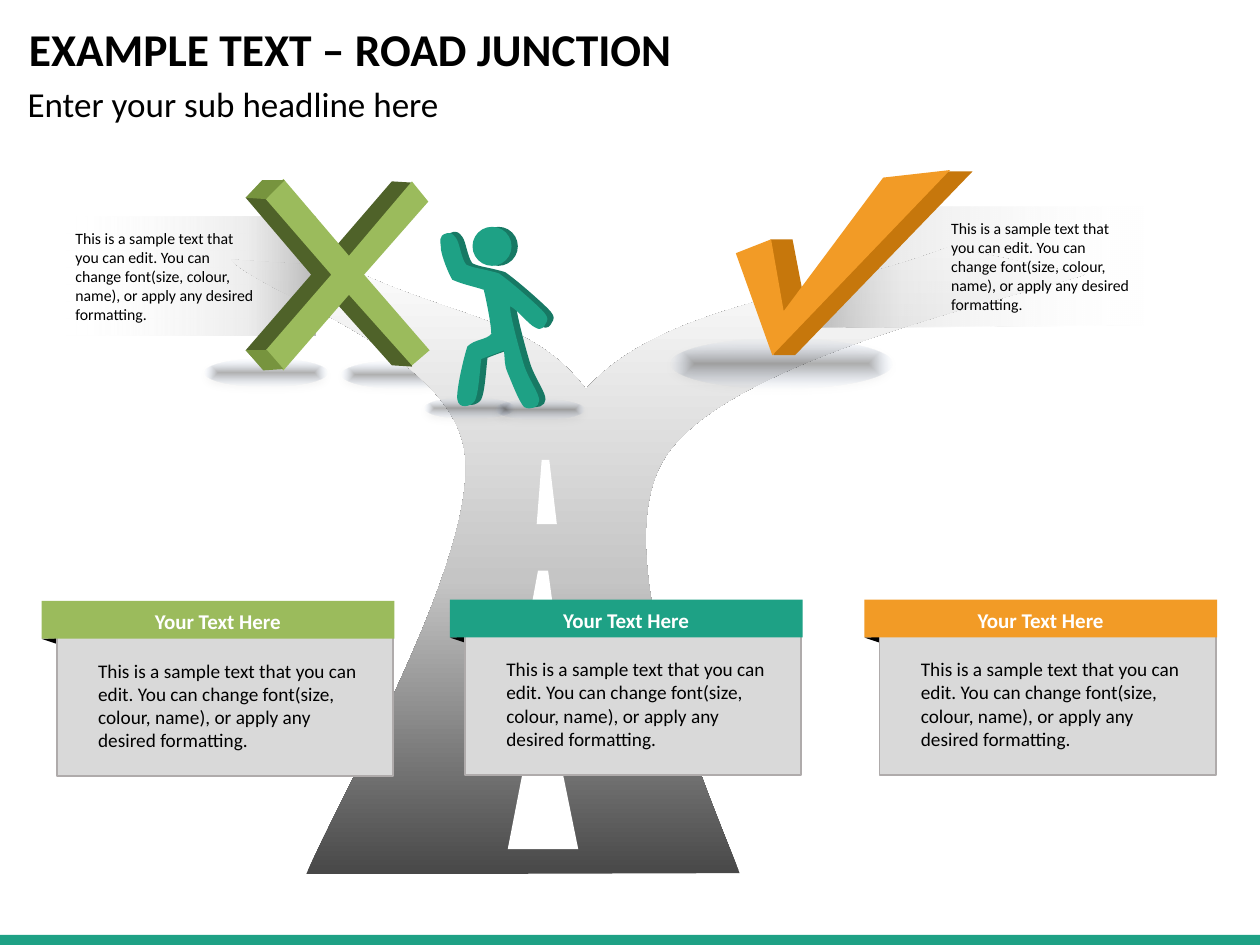
"""Build the road junction slide with three captioned cards."""
from dataclasses import dataclass

import lxml.etree
import pptx
import pptx.dml.color
import pptx.enum.shapes
import pptx.enum.text
import pptx.oxml.ns
import pptx.util

COLORS = {
    "black": "000000", "white": "FFFFFF", "teal": "1EA185", "dark_teal": "177964",
    "green": "9BBB5C", "mid_green": "77943E", "dark_green": "4F6229",
    "orange": "F29B26", "dark_orange": "C6770C", "panel": "D9D9D9", "edge": "AFABAB",
    "asphalt": "484848", "road": "C5C5C5", "fade": "B8B8B8", "pale": "D3D3D3",
    "shade": "0D0D0D", "haze": "9BC1FF",
}
SAMPLE = ("This is a sample text that you can edit. You can change font(size, "
          "colour, name), or apply any desired formatting.")
CM_PER_UNIT = 2.54
ALIGN = pptx.enum.text.PP_ALIGN
SIZING = pptx.enum.text.MSO_AUTO_SIZE
SHAPE = pptx.enum.shapes.MSO_SHAPE
Segment = tuple[float, ...]


@dataclass(frozen=True)
class Box:
    left: float
    top: float
    width: float
    height: float

    def lengths(self) -> list[int]:
        return [length(v) for v in (self.left, self.top, self.width, self.height)]


@dataclass(frozen=True)
class Stop:
    position: int
    color: str
    alpha: int = 100


@dataclass(frozen=True)
class Outline:
    color: str
    segments: list[Segment]


@dataclass(frozen=True)
class Card:
    left: float
    top: float
    color: str


ROAD = [(2.75, 2.12), (3.63, 2.54, 4.22, 2.52, 4.65, 3.09), (5.28, 2.39, 6.57, 2.34, 7.53, 1.96),
        (8.61, 2.18), (8.02, 2.37, 5.71, 2.87, 5.26, 3.66), (4.8, 4.45, 5.65, 6.36, 5.87, 6.93),
        (2.43, 6.94), (2.74, 6.24, 3.79, 4.42, 3.69, 3.6), (3.59, 2.79, 2.11, 2.35, 1.83, 2.06)]
LANE_MARKS = [
    [(4.24, 5.66), (4.37, 5.66), (4.59, 6.74), (4.03, 6.74)],
    [(4.27, 4.53), (4.35, 4.53), (4.44, 5.19), (4.15, 5.18)],
    [(4.3, 3.65), (4.36, 3.65), (4.42, 4.16), (4.26, 4.16)],
]
WALKER = [
    (3.96, 2.17), (3.83, 2.13, 3.76, 2.13, 3.7, 2.1), (3.66, 2.05, 3.65, 1.93, 3.62, 1.89),
    (3.59, 1.85, 3.58, 1.85, 3.55, 1.85), (3.47, 1.87, 3.5, 1.92, 3.5, 1.98),
    (3.51, 2.04, 3.55, 2.15, 3.59, 2.22), (3.68, 2.26, 3.75, 2.27, 3.84, 2.3),
    (3.86, 2.38, 3.9, 2.58, 3.9, 2.65), (3.86, 2.7, 3.77, 2.69, 3.71, 2.75),
    (3.68, 2.84, 3.62, 3.1, 3.63, 3.17), (3.64, 3.25, 3.74, 3.23, 3.77, 3.18),
    (3.8, 3.12, 3.81, 2.92, 3.82, 2.85), (3.89, 2.82, 3.96, 2.8, 4, 2.78),
    (4.01, 2.86, 4, 2.89, 4.03, 2.96), (4.06, 3.03, 4.12, 3.19, 4.16, 3.23),
    (4.21, 3.26, 4.28, 3.23, 4.28, 3.18), (4.28, 3.12, 4.2, 3.02, 4.16, 2.9),
    (4.12, 2.77, 4.04, 2.47, 4.05, 2.43), (4.11, 2.46, 4.2, 2.58, 4.25, 2.6),
    (4.3, 2.63, 4.32, 2.59, 4.33, 2.57), (4.34, 2.55, 4.37, 2.53, 4.3, 2.46),
    (4.24, 2.4, 4.06, 2.24, 3.96, 2.17),
]
TICK = [
    Outline("dark_orange", [(6.01, 1.98), (6.12, 1.9), (6.29, 1.9), (6.4, 2.47), (7.19, 1.41),
                            (7.53, 1.36), (7.72, 1.36), (6.31, 2.82), (6.14, 2.82)]),
    Outline("orange", [(5.84, 2.01), (6.12, 1.9), (6.22, 2.47), (7.01, 1.41), (7.54, 1.35),
                       (6.13, 2.82)]),
]
CROSS = [
    Outline("dark_green", [(1.95, 1.57), (2.09, 1.43), (2.61, 2.02), (3.11, 1.44), (3.27, 1.45),
                           (3.24, 1.59), (2.73, 2.18), (3.25, 2.77), (3.27, 2.91), (3.11, 2.9),
                           (2.61, 2.34), (2.09, 2.93), (1.95, 2.78), (2.47, 2.18)]),
    Outline("green", [(2.11, 1.58), (2.25, 1.42), (2.77, 2.03), (3.27, 1.44), (3.4, 1.6),
                      (2.89, 2.18), (3.41, 2.78), (3.27, 2.9), (2.77, 2.34), (2.25, 2.94),
                      (2.11, 2.78), (2.63, 2.18)]),
    Outline("mid_green", [(2.08, 1.43), (2.26, 1.43), (2.11, 1.58), (1.95, 1.57)]),
    Outline("mid_green", [(2.12, 2.78), (1.95, 2.78), (2.09, 2.94), (2.25, 2.93)]),
]
SIGN_BACKDROP = [(7.1, 1.64), (9.08, 1.64), (9.08, 2.58), (6.44, 2.6)]
FADE = [Stop(0, "fade"), Stop(27, "pale", 41), Stop(100, "white", 0)]
CARDS = [Card(0.33, 4.77, "green"), Card(3.57, 4.76, "teal"), Card(6.86, 4.76, "orange")]


def length(units: float) -> int:
    return pptx.util.Cm(units * CM_PER_UNIT)


def rgb(color: str) -> pptx.dml.color.RGBColor:
    return pptx.dml.color.RGBColor.from_string(COLORS[color])


def child(parent, tag: str, **attributes):
    element = lxml.etree.SubElement(parent, pptx.oxml.ns.qn(tag))
    for key, value in attributes.items():
        element.set(key, str(value))
    return element


def add_color(parent, color: str, alpha: int) -> None:
    tint = child(parent, "a:srgbClr", val=COLORS[color])
    if alpha < 100:
        child(tint, "a:alpha", val=alpha * 1000)


def paint(shape, color: str):
    shape.shadow.inherit = False
    shape.line.fill.background()
    shape.fill.solid()
    shape.fill.fore_color.rgb = rgb(color)
    return shape


def paint_gradient(shape, stops: list[Stop], angle: int | None) -> None:
    solid = shape._element.spPr.find(pptx.oxml.ns.qn("a:solidFill"))
    gradient = lxml.etree.Element(pptx.oxml.ns.qn("a:gradFill"), rotWithShape="1")
    stop_list = child(gradient, "a:gsLst")
    for stop in stops:
        add_color(child(stop_list, "a:gs", pos=stop.position * 1000), stop.color, stop.alpha)
    if angle is None:
        centre = child(gradient, "a:path", path="shape")
        child(centre, "a:fillToRect", l=50000, t=50000, r=50000, b=50000)
    else:
        child(gradient, "a:lin", ang=angle * 60000, scaled=0)
    solid.getparent().replace(solid, gradient)


def add_preset(shapes, kind, box: Box, color: str):
    return paint(shapes.add_shape(kind, *box.lengths()), color)


def add_ground_shadow(shapes, box: Box) -> None:
    ellipse = add_preset(shapes, SHAPE.OVAL, box, "shade")
    paint_gradient(ellipse, [Stop(0, "shade", 28), Stop(100, "haze", 0)], None)
    effects = ellipse._element.spPr.find(pptx.oxml.ns.qn("a:effectLst"))
    shadow = child(effects, "a:outerShdw", blurRad=pptx.util.Pt(5), dist=pptx.util.Pt(1.8),
                   dir=90 * 60000, algn="t", rotWithShape=0)
    add_color(shadow, "black", 29)


def add_outline(shapes, outline: Outline, dx: float = 0, dy: float = 0):
    points = [[(length(x + dx), length(y + dy)) for x, y in zip(segment[::2], segment[1::2])]
              for segment in outline.segments]
    builder = shapes.build_freeform(*points[0][0])
    builder.add_line_segments([segment[-1] for segment in points[1:]], close=True)
    shape = builder.convert_to_shape()
    sides = list(shape._element.iter(pptx.oxml.ns.qn("a:lnTo")))
    for side, controls in zip(sides, points[1:]):
        if len(controls) == 3:
            curve = lxml.etree.Element(pptx.oxml.ns.qn("a:cubicBezTo"))
            for x, y in controls:
                child(curve, "a:pt", x=x - shape.left, y=y - shape.top)
            side.getparent().replace(side, curve)
    return paint(shape, outline.color)


def write(frame, text: str, size: int, color: str = "black", bold: bool = False,
          align=ALIGN.LEFT, spacing: float | None = None) -> None:
    frame.word_wrap = True
    paragraph = frame.paragraphs[0]
    paragraph.alignment = align
    paragraph.line_spacing = spacing
    run = paragraph.add_run()
    run.text = text
    run.font.name, run.font.size, run.font.bold = "Calibri", pptx.util.Pt(size), bold
    run.font.color.rgb = rgb(color)


def add_text(shapes, box: Box, text: str, size: int, **style):
    frame = shapes.add_textbox(*box.lengths()).text_frame
    write(frame, text, size, **style)
    frame.auto_size = SIZING.SHAPE_TO_FIT_TEXT
    return frame


def add_card(shapes, card: Card) -> None:
    x, y = card.left, card.top
    add_outline(shapes, Outline("black", [(x + 0.24, y + 0.29), (x, y + 0.3), (x + 0.21, y + 0.37)]))
    panel = add_preset(shapes, SHAPE.RECTANGLE, Box(x + 0.12, y + 0.28, 2.67, 1.11), "panel")
    panel.line.color.rgb = rgb("edge")
    panel.line.width = pptx.util.Pt(1)
    add_text(shapes, Box(x + 0.35, y + 0.41, 2.29, 0.84), SAMPLE, 11)
    add_preset(shapes, SHAPE.RECTANGLE, Box(x, y, 2.8, 0.3), card.color)
    label = add_text(shapes, Box(x, y + 0.04, 2.8, 0.24), "Your Text Here", 12,
                     color="white", bold=True, align=ALIGN.CENTER)
    label.margin_left = label.margin_right = length(0.04)
    label.margin_top = label.margin_bottom = length(0.02)


def add_heading(slide) -> None:
    title = slide.shapes.title
    title.left, title.top, title.width, title.height = Box(0.13, 0.17, 8.62, 0.48).lengths()
    title.text_frame.auto_size = SIZING.NONE
    title.text_frame.vertical_anchor = pptx.enum.text.MSO_ANCHOR.MIDDLE
    write(title.text_frame, "EXAMPLE TEXT – ROAD JUNCTION", 26, bold=True, spacing=0.9)
    subtitle = add_text(slide.shapes, Box(0.12, 0.64, 5.52, 0.64),
                        "Enter your sub headline here", 20, spacing=0.9)
    subtitle.auto_size = SIZING.NONE


def add_walker(shapes) -> None:
    for left, top in ((3.37, 3.16), (3.93, 3.17)):
        add_ground_shadow(shapes, Box(left, top, 0.71, 0.16))
    for color, dx, dy in (("dark_teal", 0.05, -0.01), ("teal", 0, 0)):
        add_preset(shapes, SHAPE.OVAL, Box(3.75 + dx, 1.8, 0.31, 0.31), color)
        add_outline(shapes, Outline(color, WALKER), dx, dy)


def main() -> None:
    deck = pptx.Presentation()
    deck.slide_width, deck.slide_height = length(10), length(7.5)
    slide = deck.slides.add_slide(deck.slide_layouts[5])
    shapes = slide.shapes
    add_preset(shapes, SHAPE.RECTANGLE, Box(-0.01, 7.42, 10.01, 0.09), "teal")
    add_heading(slide)
    for left, top in ((2.71, 2.86), (1.62, 2.85)):
        add_ground_shadow(shapes, Box(left, top, 0.98, 0.22))
    junction = shapes.add_group_shape().shapes
    paint_gradient(add_outline(junction, Outline("road", ROAD)),
                   [Stop(0, "asphalt"), Stop(47, "road"), Stop(100, "white")], 270)
    for mark in LANE_MARKS:
        add_outline(junction, Outline("white", mark))
    add_walker(shapes.add_group_shape().shapes)
    for card in CARDS:
        add_card(shapes.add_group_shape().shapes, card)
    right_note = shapes.add_group_shape().shapes
    paint_gradient(add_outline(right_note, Outline("fade", SIGN_BACKDROP)), FADE, 0)
    add_text(right_note, Box(7.45, 1.69, 1.61, 0.87), SAMPLE, 9)
    tick = shapes.add_group_shape().shapes
    add_ground_shadow(tick, Box(5.32, 2.69, 1.76, 0.39))
    for part in TICK:
        add_outline(tick, part)
    left_note = shapes.add_group_shape().shapes
    backdrop = add_preset(left_note, SHAPE.RECTANGLE, Box(0.52, 1.72, 1.98, 0.94), "fade")
    paint_gradient(backdrop, FADE, 180)
    add_text(left_note, Box(0.5, 1.77, 1.61, 0.87), SAMPLE, 9)
    cross = shapes.add_group_shape().shapes
    for part in CROSS:
        add_outline(cross, part)
    deck.save("out.pptx")


if __name__ == "__main__":
    main()
